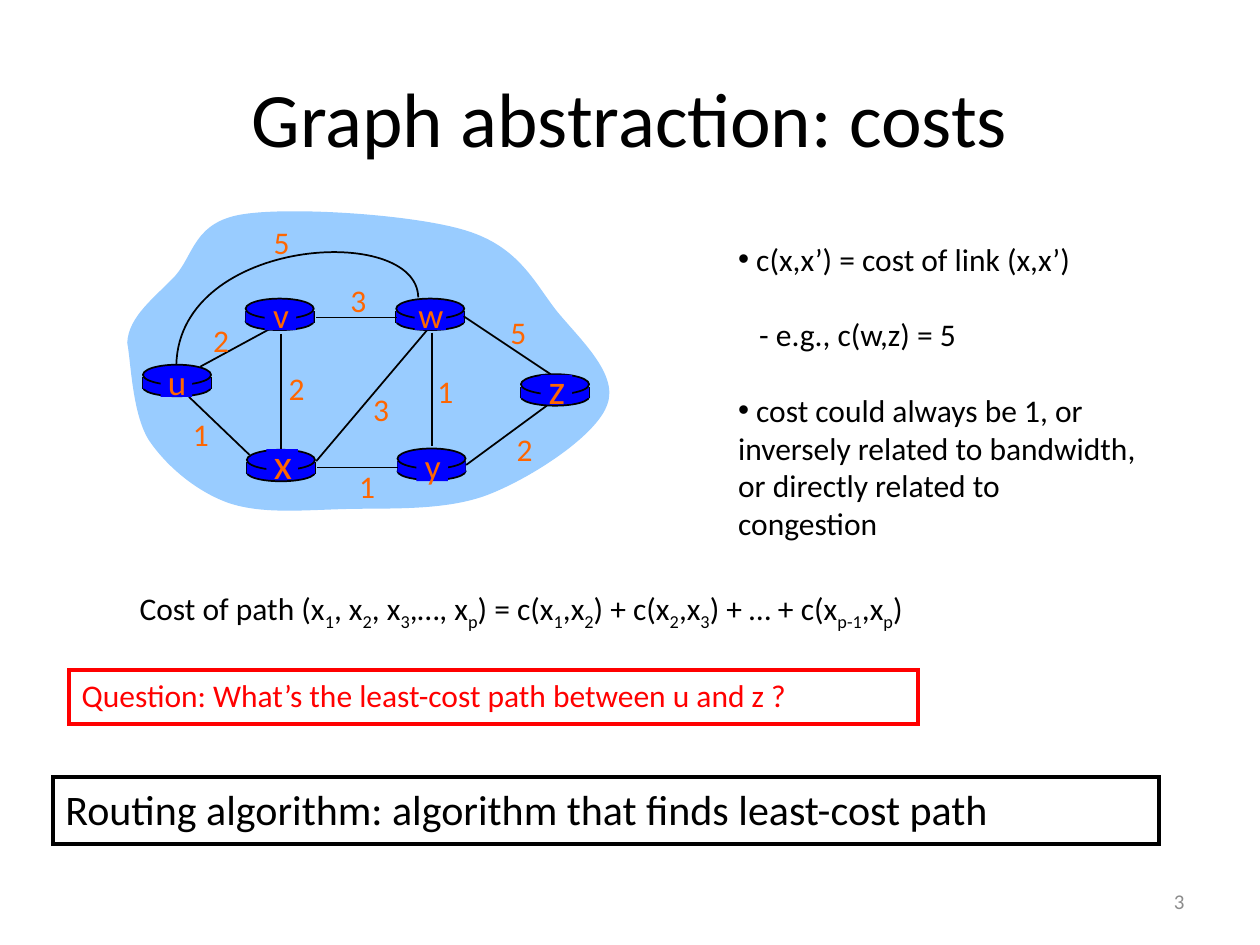
import pptx
import pptx.util
import pptx.dml.color
import pptx.enum.shapes
import pptx.enum.text
import pptx.oxml.ns
import lxml.etree

RGBColor = pptx.dml.color.RGBColor
BLACK = RGBColor(0x00, 0x00, 0x00)
GRAY = RGBColor(0x8C, 0x8C, 0x8C)
RED = RGBColor(0xFF, 0x00, 0x00)
BLUE = RGBColor(0x00, 0x00, 0xFF)
SKY = RGBColor(0x99, 0xCC, 0xFF)
ORANGE = RGBColor(0xFF, 0x66, 0x00)

SHAPES = pptx.enum.shapes.MSO_SHAPE
ALIGN = pptx.enum.text.PP_ALIGN
ANCHOR = pptx.enum.text.MSO_ANCHOR
FIT = pptx.enum.text.MSO_AUTO_SIZE
COLUMNS, ROWS = 100, 75


def add_element(parent, tag, **attributes):
    return lxml.etree.SubElement(parent, pptx.oxml.ns.qn(tag), attributes)


def write_text(paragraph, text, size=18, color=BLACK, align=ALIGN.LEFT,
               bullet=False, before=0, margin=0):
    paragraph.alignment = align
    paragraph.space_before = pptx.util.Pt(before)
    properties = paragraph._p.get_or_add_pPr()
    properties.set("marL", str(pptx.util.Pt(margin)))
    properties.set("indent", "0")
    if bullet:
        add_element(properties, "a:buFont", typeface="Arial")
        add_element(properties, "a:buChar", char="•")
    for index, part in enumerate(text.split("_")):
        run = paragraph.add_run()
        run.text = part
        run.font.name = "Calibri"
        run.font.size = pptx.util.Pt(size)
        run.font.color.rgb = color
        if index % 2:
            run.font._element.set("baseline", "-25000")


class Board:
    def __init__(self, presentation):
        self.slide = presentation.slides.add_slide(presentation.slide_layouts[6])
        self.shapes = self.slide.shapes
        self.column = presentation.slide_width / COLUMNS
        self.row = presentation.slide_height / ROWS

    def place(self, *lengths):
        units = (self.column, self.row) * 2
        return [round(length * unit) for length, unit in zip(lengths, units)]

    def style(self, shape, fill, line, width):
        shape.shadow.inherit = False
        if fill is None:
            shape.fill.background()
        else:
            shape.fill.solid()
            shape.fill.fore_color.rgb = fill
        if line is None:
            shape.line.fill.background()
        else:
            shape.line.color.rgb = line
            shape.line.width = pptx.util.Pt(width)
            add_element(shape.line._ln, "a:miter", lim="800000")
        return shape

    def shape(self, kind, box, fill=None, line=None, width=1):
        return self.style(self.shapes.add_shape(kind, *self.place(*box)), fill, line, width)

    def line(self, start, end):
        connector = self.shapes.add_connector(
            pptx.enum.shapes.MSO_CONNECTOR.STRAIGHT, *self.place(*start, *end))
        connector.line.color.rgb = BLACK
        connector.line.width = pptx.util.Pt(1)
        add_element(connector._element.spPr, "a:effectLst")

    def curve(self, box, start, segments, fill=None, line=None, close=False):
        left, top, width, height = self.place(*box)
        builder = self.shapes.build_freeform(left, top)
        builder.add_line_segments([(left + width, top + height)], close=False)
        shape = self.style(builder.convert_to_shape(), fill, line, 1)
        outline = next(shape._element.iter(pptx.oxml.ns.qn("a:path")))
        for child in list(outline):
            outline.remove(child)
        steps = [("a:moveTo", [start])]
        steps += [("a:cubicBezTo", segment) for segment in segments]
        for tag, points in steps:
            step = add_element(outline, tag)
            for point in points:
                x, y = self.place(*point)
                add_element(step, "a:pt", x=str(x - left), y=str(y - top))
        if close:
            add_element(outline, "a:close")

    def text(self, box, *lines, anchor=ANCHOR.TOP, wrap=True, border=None,
             fit=FIT.NONE, **style):
        if border is None:
            shape = self.shapes.add_textbox(*self.place(*box))
        else:
            shape = self.shape(SHAPES.RECTANGLE, box, line=border, width=2.25)
        frame = shape.text_frame
        frame.word_wrap = wrap
        frame.auto_size = fit
        frame.vertical_anchor = anchor
        for index, (text, extra) in enumerate(lines):
            paragraph = frame.add_paragraph() if index else frame.paragraphs[0]
            write_text(paragraph, text, **{**style, **extra})

    def label(self, text, x, y, size=18, width=3.3):
        height = round(1 + size * 0.17, 2)
        self.text((x - width / 2, y - height / 2, width, height), (text, {}),
                  wrap=False, fit=FIT.SHAPE_TO_FIT_TEXT,
                  size=size, color=ORANGE, align=ALIGN.CENTER)

    def router(self, x, y):
        self.shape(SHAPES.OVAL, (x, y + 1.1, 5.4, 1.4), BLUE, BLACK)
        for side in (x, x + 5.4):
            self.line((side, y + 1), (side, y + 1.9))
        self.shape(SHAPES.RECTANGLE, (x, y + 1, 5.4, 0.9), BLUE)
        self.shape(SHAPES.OVAL, (x, y, 5.4, 1.6), BLUE, BLACK)


presentation = pptx.Presentation()
presentation.slide_width = pptx.util.Inches(10)
presentation.slide_height = pptx.util.Inches(7.5)
board = Board(presentation)

board.text((5, 3, 90, 12.5), ("Graph abstraction: costs", {}), anchor=ANCHOR.MIDDLE,
           size=44, align=ALIGN.CENTER)
board.text((71.7, 69.5, 23.3, 4), ("3", {}), anchor=ANCHOR.MIDDLE,
           size=12, color=GRAY, align=ALIGN.RIGHT)

cloud = [
    ((10.2, 25.1), (12.3, 23.6), (13.9, 21.9)),
    ((15.4, 20.2), (15.4, 17.6), (19.3, 17)),
    ((23.1, 16.4), (32.8, 17), (37, 18.3)),
    ((41.2, 19.6), (42.4, 22.4), (44.2, 24.7)),
    ((46.1, 27), (49.1, 29.7), (48.2, 32.1)),
    ((47.4, 34.5), (42.4, 37.8), (38.9, 39.2)),
    ((35.4, 40.6), (30.8, 40.3), (27.3, 40.4)),
    ((23.9, 40.5), (20.7, 40.8), (18.1, 39.9)),
    ((15.6, 39), (13.2, 37), (11.8, 34.9)),
    ((10.5, 32.8), (10.4, 28.8), (10.1, 27.2)),
]
board.curve((10.1, 16.4, 39.1, 24.5), (10.1, 27.2), cloud, fill=SKY, close=True)

routers = [(11.35, 28.95), (19.6, 35.7), (19.5, 23.7),
           (31.45, 23.7), (31.55, 35.6), (41.35, 29.7)]
names = [
    ("u", 14.05, 30.3, 20, 3.5), ("y", 34.35, 37, 20, 3.3),
    ("x", 22.45, 36.75, 24, 3.5), ("w", 34.2, 25, 20, 4),
    ("v", 22.3, 25, 20, 3.4), ("z", 44.2, 30.85, 24, 3.4),
]
links = [
    ((34.3, 26.4), (34.3, 35.4)), ((22.3, 26.5), (22.3, 35.8)),
    ((25.1, 36.6), (33.9, 26.2)), ((37, 36.9), (43.4, 32.2)),
    ((31.6, 37.1), (25.2, 37.1)), ((19.8, 36.1), (15, 31.5)),
    ((31.5, 25.2), (25.1, 25.2)), ((43.7, 29.7), (36.8, 25.1)),
]
costs = [
    ("2", 17.55, 27), ("2", 23.55, 30.8), ("1", 15.95, 34.5), ("3", 30.25, 32.5),
    ("1", 29.15, 38.6), ("1", 35.35, 31.1), ("2", 41.65, 35.7), ("5", 41.15, 26.4),
    ("3", 28.45, 23.8), ("5", 22.35, 19.2),
]

board.line((15.9, 29.1), (21.8, 25.9))
for x, y in routers:
    board.router(x, y)
for start, end in links:
    board.line(start, end)
board.curve((14, 17.7, 19.3, 11.2), (33.2, 23.6),
            [((33.1, 17.7), (14.3, 18.8), (14, 28.9))], line=BLACK)
for name, x, y, size, width in names:
    board.shape(SHAPES.RECTANGLE, (x - 1.3, y - 1.1, 2.5, 2.3), BLUE)
    board.label(name, x, y, size, width)
for cost in costs:
    board.label(*cost)

board.text((57.6, 18.55, 34.1, 25.2),
           (" c(x,x’) = cost of link (x,x’)", {"bullet": True}),
           ("- e.g., c(w,z) = 5", {"before": 21.5, "margin": 12}),
           (" cost could always be 1, or", {"bullet": True, "before": 21.5}),
           ("inversely related to bandwidth,", {}),
           ("or directly related to", {}),
           ("congestion", {}))
board.text((10.1, 46.25, 76.8, 4),
           ("Cost of path (x_1_, x_2_, x_3_,…, x_p_) = "
            "c(x_1_,x_2_) + c(x_2_,x_3_) + … + c(x_p-1_,x_p_)", {}))
board.text((5.5, 53.2, 67.35, 4.3),
           ("Question: What’s the least-cost path between u and z ?", {}),
           border=RED, color=RED)
board.text((4.2, 61.7, 87.75, 5.3),
           ("Routing algorithm: algorithm that finds least-cost path", {}),
           border=BLACK, size=24)

presentation.save("out.pptx")
